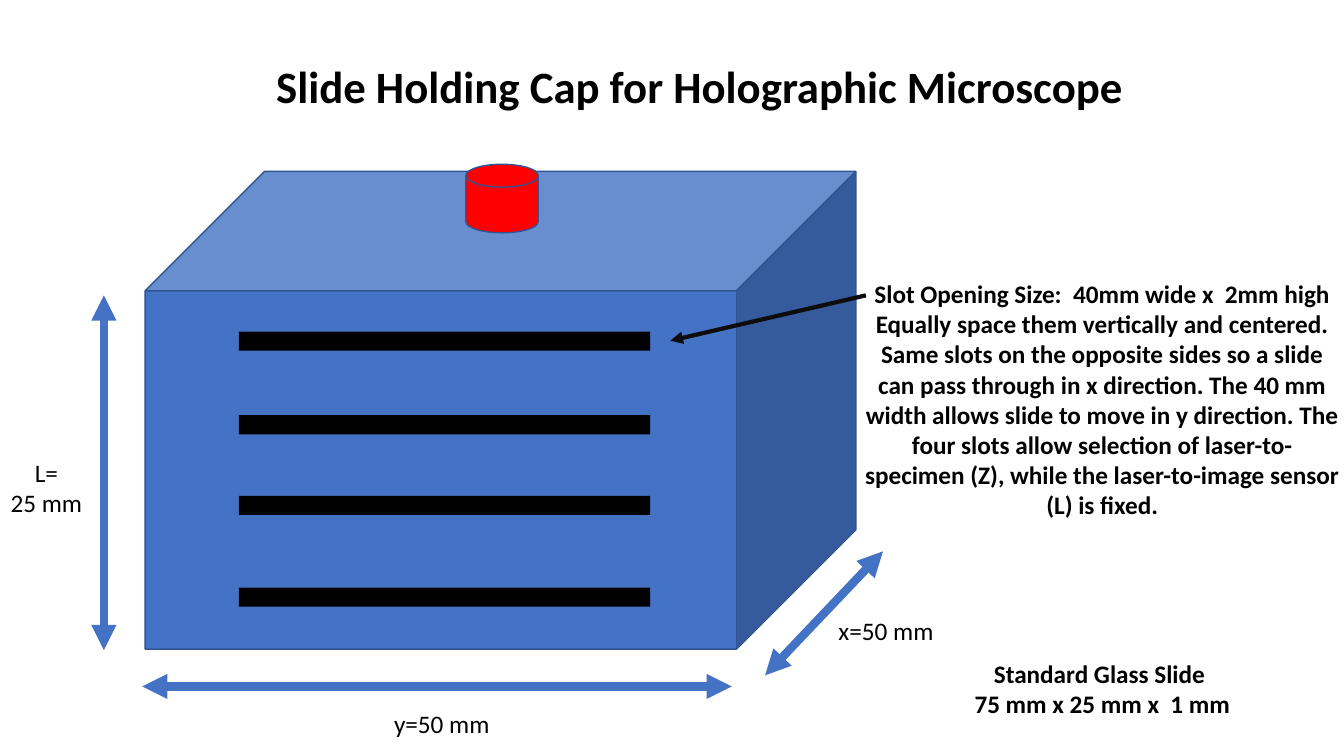
from pptx import Presentation, util as u
from pptx.dml.color import RGBColor
from pptx.enum import shapes, text
from pptx.oxml.ns import qn
from lxml import etree

# Content: every place is in percent of the slide's width and height
COLORS = {"blue": "4472C4", "edge": "325491", "red": "FF0000",
          "black": "000000", "pointer": "0D0D0D"}
FONT = "Calibri"
TITLE = ("Slide Holding Cap for Holographic Microscope", (19.8, 7.07, 65.1, 8.53))
BOX = (10.8, 22.67, 52.88, 63.2)
KNOB = (34.65, 21.73, 5.4, 9.07)
SLOT_LEFT, SLOT_WIDTH, SLOT_HEIGHT = 17.78, 30.6, 2.53
SLOT_TOPS = [43.87, 54.93, 65.6, 77.73]
# lines, place, format
LABELS = [
    (["Standard Glass Slide ", "75 mm x 25 mm x  1 mm"],
     (71.63, 86.4, 20.78, 9.47), dict(bold=True, center=True)),
    (["L=", "25 mm"], (0, 59.87, 6.9, 9.47), dict(center=True)),
    (["Slot Opening Size:  40mm wide x  2mm high",
      "Equally space them vertically and centered. Same slots on the opposite "
      "sides so a slide can pass through in x direction. The 40 mm width allows "
      "slide to move in y direction. The four slots allow selection of "
      "laser-to-specimen (Z), while the laser-to-image sensor (L) is fixed."],
     (63.45, 36.13, 37.13, 33.6), dict(bold=True, center=True, wrap=True)),
    (["y=50 mm"], (28.58, 93.07, 8.7, 5.33), {}),
    (["x=50 mm"], (61.65, 80.67, 8.63, 5.33), {}),
]
# from x, from y, to x, to y
DIMENSIONS = [
    (7.73, 39.07, 7.73, 86),
    (54.45, 90.8, 10.58, 90.8),
    (65.7, 72.93, 56.93, 89.33),
]
SLOT_POINTER = (64.43, 39.07, 49.88, 45.07)

prs = Presentation()
prs.slide_width, prs.slide_height = u.Inches(13.333), u.Inches(7.5)
s = prs.slides.add_slide(prs.slide_layouts[5])


def place(box):
    sides = (prs.slide_width, prs.slide_height) * 2
    return [int(share * side / 100) for share, side in zip(box, sides)]


def color(name):
    return RGBColor.from_string(COLORS[name])


def write(sp, lines, size=18, bold=False, center=False, wrap=False):
    tf = sp.text_frame
    tf.word_wrap = wrap
    tf.auto_size = text.MSO_AUTO_SIZE.NONE
    for i, line in enumerate(lines):
        p = tf.add_paragraph() if i else tf.paragraphs[0]
        p.alignment = text.PP_ALIGN.CENTER if center else text.PP_ALIGN.LEFT
        r = p.add_run()
        r.text = line
        r.font.name, r.font.size, r.font.bold = FONT, u.Pt(size), bold
        r.font.color.rgb = color("black")


def add_solid(kind, box, fill, edge=None):
    sp = s.shapes.add_shape(kind, *place(box))
    sp.shadow.inherit = False
    sp.fill.solid()
    sp.fill.fore_color.rgb = color(fill)
    if edge:
        sp.line.color.rgb = color(edge)
        sp.line.width = u.Pt(1)
    else:
        sp.line.fill.background()


def add_arrow(ends, stroke, width, heads):
    sp = s.shapes.add_connector(shapes.MSO_CONNECTOR.STRAIGHT, *place(ends))
    sp.line.color.rgb = color(stroke)
    sp.line.width = u.Pt(width)
    ln = sp.line._get_or_add_ln()
    for head in heads:
        etree.SubElement(ln, qn("a:" + head), type="triangle")
    etree.SubElement(sp._element.spPr, qn("a:effectLst"))


# Title
title, box = TITLE
sp = s.shapes.title
sp.left, sp.top, sp.width, sp.height = place(box)
write(sp, [title], size=32, bold=True)

# Cap with its slots and knob
add_solid(shapes.MSO_SHAPE.CUBE, BOX, "blue", "edge")
for top in SLOT_TOPS:
    add_solid(shapes.MSO_SHAPE.RECTANGLE,
              (SLOT_LEFT, top, SLOT_WIDTH, SLOT_HEIGHT), "black")
add_solid(shapes.MSO_SHAPE.FLOWCHART_MAGNETIC_DISK, KNOB, "red", "edge")

# Labels
for lines, box, style in LABELS:
    write(s.shapes.add_textbox(*place(box)), lines, **style)

# Dimension arrows and the pointer to the top slot
for ends in DIMENSIONS:
    add_arrow(ends, "blue", 6, ["headEnd", "tailEnd"])
add_arrow(SLOT_POINTER, "pointer", 3, ["tailEnd"])

prs.save("out.pptx")
